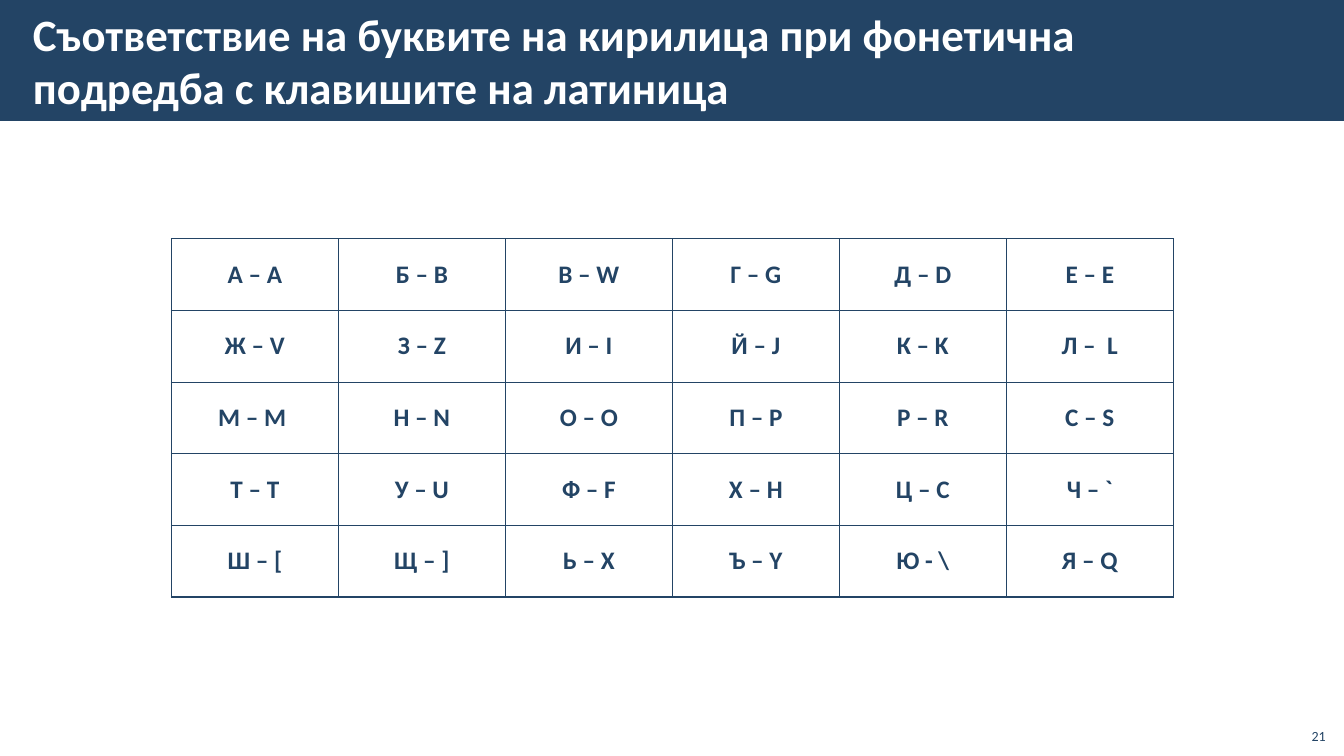
import pptx
import pptx.util
import pptx.dml.color
import pptx.enum.shapes
import pptx.enum.text
import pptx.oxml
import pptx.oxml.ns

Cm, Pt = pptx.util.Cm, pptx.util.Pt
Align = pptx.enum.text.PP_ALIGN
Anchor = pptx.enum.text.MSO_ANCHOR

HUES = {"navy": "234465", "white": "FFFFFF"}
FONT = "Calibri"
KEYS = [
    ["А – A", "Б – B", "В – W", "Г – G", "Д – D", "Е – E"],
    ["Ж – V", "З – Z", "И – I", "Й – J", "К – K", "Л –  L"],
    ["М – M ", "Н – N", "О – O", "П – P", "Р – R", "С – S"],
    ["Т – T", "У – U", "Ф – F", "Х – H", "Ц – C", "Ч – `"],
    ["Ш – [", "Щ – ]", "Ь – X", "Ъ – Y", "Ю - \\", "Я – Q"],
]


def hue(name):
    return pptx.dml.color.RGBColor.from_string(HUES[name])


def add_run(para, text, size, color, bold=False, align=Align.LEFT):
    para.alignment = align
    run = para.add_run()
    run.text = text
    run.font.name = FONT
    run.font.size = Pt(size)
    run.font.bold = bold
    run.font.color.rgb = hue(color)


def add_text(slide, box, anchor):
    frame = slide.shapes.add_textbox(*map(Cm, box)).text_frame
    frame.word_wrap = True
    frame.vertical_anchor = anchor
    return frame


def add_edges(cell, color, width):
    props = cell._tc.get_or_add_tcPr()
    for side in ("lnL", "lnR", "lnT", "lnB"):
        props.append(pptx.oxml.parse_xml(
            f'<a:{side} {pptx.oxml.ns.nsdecls("a")} w="{Pt(width)}">'
            f'<a:solidFill><a:srgbClr val="{HUES[color]}"/></a:solidFill>'
            f'</a:{side}>'))


def add_head(slide, box, text):
    # Title band
    left, top, width, height = box
    band = slide.shapes.add_shape(
        pptx.enum.shapes.MSO_SHAPE.RECTANGLE, *map(Cm, box))
    band.shadow.inherit = False
    band.fill.solid()
    band.fill.fore_color.rgb = hue("navy")
    band.line.fill.background()

    # Title text
    inner = (left + 0.53, top + 0.28, width - 5.35, height - 0.58)
    frame = add_text(slide, inner, Anchor.MIDDLE)
    frame.margin_left = frame.margin_right = Cm(0.3)
    frame.margin_top = frame.margin_bottom = Cm(0.1)
    add_run(frame.paragraphs[0], text, 32, "white", bold=True)


def add_keys(slide, box, rows):
    # Letter and key table
    table = slide.shapes.add_table(
        len(rows), len(rows[0]), *map(Cm, box)).table
    table.first_row = table.horz_banding = False
    for col in table.columns:
        col.width = Cm(box[2] / len(rows[0]))
    for line, row in zip(table.rows, rows):
        line.height = Cm(box[3] / len(rows))
        for cell, text in zip(line.cells, row):
            cell.vertical_anchor = Anchor.MIDDLE
            add_edges(cell, "navy", 1)
            cell.fill.background()
            add_run(cell.text_frame.paragraphs[0], text, 18, "navy",
                    bold=True, align=Align.CENTER)


def add_foot(slide, box, text):
    # Page number
    frame = add_text(slide, box, Anchor.BOTTOM)
    add_run(frame.paragraphs[0], text, 10, "navy", align=Align.RIGHT)


def main():
    deck = pptx.Presentation()
    deck.slide_width, deck.slide_height = Cm(33.87), Cm(19.05)
    slide = deck.slides.add_slide(deck.slide_layouts[6])
    add_head(slide, (0, 0, 33.87, 3.05),
             "Съответствие на буквите на кирилица при фонетична "
             "подредба с клавишите на латиница")
    add_keys(slide, (4.32, 6.02, 25.25, 9.03), KEYS)
    add_foot(slide, (32.64, 18.08, 1.02, 0.81), "21")
    deck.save("out.pptx")


if __name__ == "__main__":
    main()
